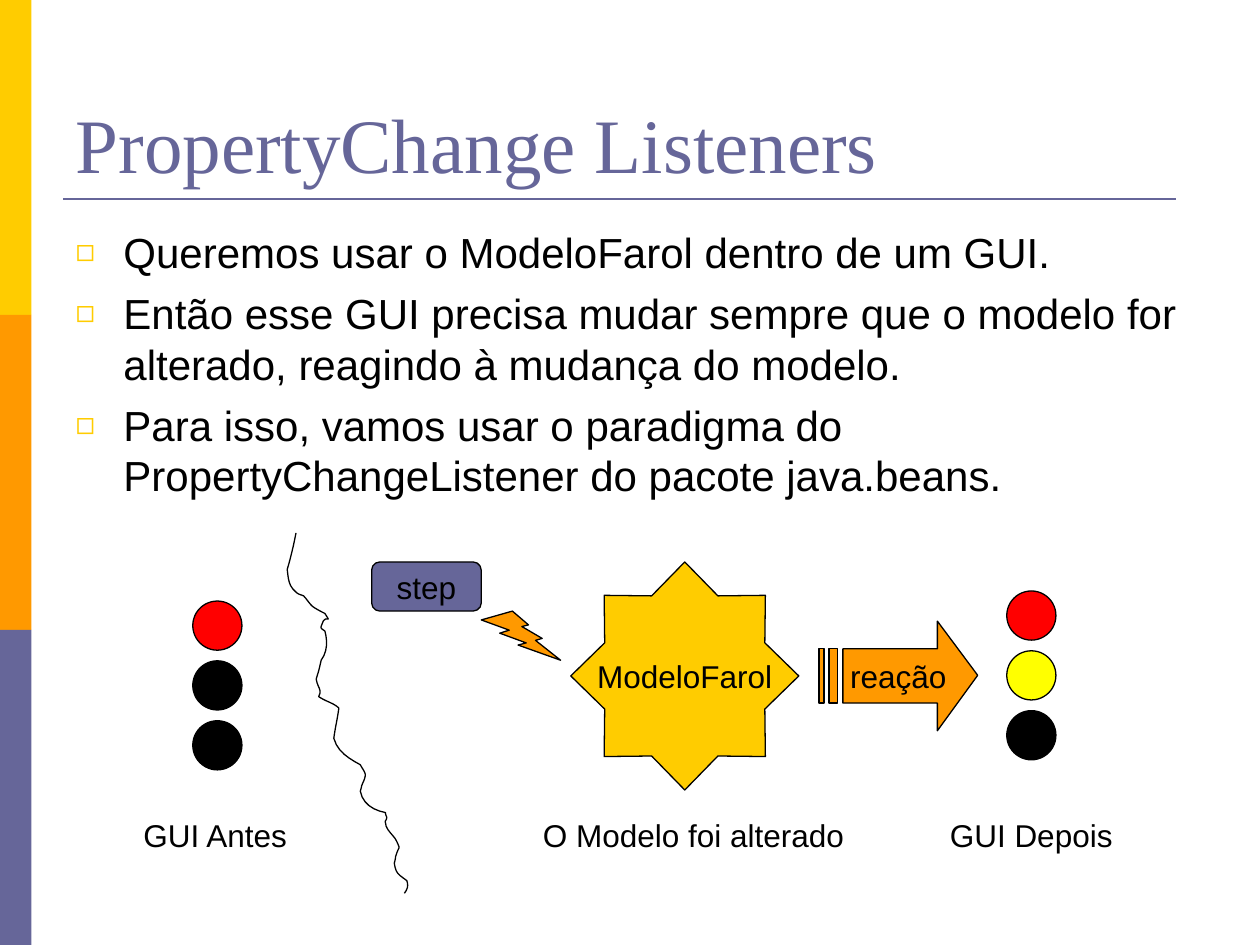
from dataclasses import dataclass

from lxml.etree import SubElement
from pptx import Presentation
from pptx.dml.color import RGBColor
from pptx.enum.shapes import MSO_CONNECTOR, MSO_SHAPE
from pptx.enum.text import MSO_ANCHOR, MSO_AUTO_SIZE, PP_ALIGN
from pptx.oxml.ns import qn
from pptx.util import Inches, Pt

BLACK, RED, YELLOW = "000000", "FF0000", "FFFF00"
GOLD, ORANGE, PURPLE = "FFCC00", "FF9900", "666699"
LAMP, STEP = 0.39, 0.475

BULLETS = [
    "Queremos usar o ModeloFarol dentro de um GUI.",
    "Então esse GUI precisa mudar sempre que o modelo for alterado, "
    "reagindo à mudança do modelo.",
    "Para isso, vamos usar o paradigma do PropertyChangeListener "
    "do pacote java.beans.",
]
ARROW = [
    [(6.69, 5.15), (7.44, 5.15), (7.44, 4.93), (7.76, 5.36),
     (7.44, 5.8), (7.44, 5.58), (6.69, 5.58)],
    *([(a, 5.15), (b, 5.15), (b, 5.58), (a, 5.58)]
      for a, b in [(6.5, 6.54), (6.58, 6.65)]),
]
# Start of the crack, then two control points and an end for each curve
CRACK = [
    (2.35, 4.23),
    (2.33, 4.33), (2.31, 4.42), (2.28, 4.52),
    (2.29, 4.6), (2.29, 4.65), (2.35, 4.7),
    (2.37, 4.72), (2.39, 4.72), (2.41, 4.73),
    (2.44, 4.76), (2.46, 4.8), (2.49, 4.82),
    (2.52, 4.84), (2.58, 4.87), (2.58, 4.87),
    (2.64, 4.97), (2.58, 4.85), (2.55, 4.97),
    (2.54, 4.99), (2.57, 5), (2.58, 5.01),
    (2.6, 5.09), (2.6, 5.17), (2.55, 5.24),
    (2.52, 5.37), (2.53, 5.32), (2.51, 5.39),
    (2.52, 5.46), (2.56, 5.47), (2.53, 5.53),
    (2.59, 5.57), (2.65, 5.58), (2.69, 5.62),
    (2.68, 5.7), (2.66, 5.78), (2.65, 5.86),
    (2.68, 5.97), (2.77, 6.02), (2.86, 6.07),
    (2.87, 6.09), (2.9, 6.13), (2.9, 6.15),
    (2.9, 6.18), (2.88, 6.21), (2.87, 6.24),
    (2.87, 6.25), (2.86, 6.28), (2.86, 6.28),
    (2.88, 6.38), (2.96, 6.43), (3.06, 6.45),
    (3.06, 6.47), (3.07, 6.48), (3.07, 6.49),
    (3.07, 6.51), (3.05, 6.52), (3.06, 6.53),
    (3.06, 6.59), (3.13, 6.63), (3.15, 6.68),
    (3.18, 6.75), (3.17, 6.7), (3.14, 6.8),
    (3.14, 6.82), (3.13, 6.85), (3.13, 6.85),
    (3.14, 6.93), (3.16, 6.94), (3.23, 6.99),
    (3.24, 7.03), (3.24, 7.05), (3.21, 7.09),
]


@dataclass
class Label:
    text: str
    left: float
    width: float


@dataclass
class Light:
    left: float
    top: float
    lamps: tuple[str, ...]


LABELS = [Label("O Modelo foi alterado", 4.21, 2.59),
          Label("GUI Depois", 7.44, 1.49), Label("GUI Antes", 1.04, 1.35)]
LIGHTS = [Light(7.99, 4.69, (RED, YELLOW, BLACK)),
          Light(1.53, 4.77, (RED, BLACK, BLACK))]


def color(code: str) -> RGBColor:
    return RGBColor.from_string(code)


def set_all(item, **values) -> None:
    for name, value in values.items():
        setattr(item, name, value)


def set_font(para, size: float, face: str = "Arial", code: str = BLACK) -> None:
    set_all(para.font, size=Pt(size), name=face)
    para.font.color.rgb = color(code)


def place(item, left: float, top: float, width: float, height: float) -> None:
    set_all(item, left=Inches(left), top=Inches(top),
            width=Inches(width), height=Inches(height))


def paint(shape, fill: str | None, edge: str | None = BLACK) -> None:
    shape.shadow.inherit = False
    if fill:
        shape.fill.solid()
        shape.fill.fore_color.rgb = color(fill)
    else:
        shape.fill.background()
    if edge:
        shape.line.color.rgb = color(edge)
        shape.line.width = Pt(0.75)
    else:
        shape.line.fill.background()


def write(shape, text: str) -> None:
    """Put centred text in a shape."""
    set_all(shape.text_frame, text=text, word_wrap=False,
            vertical_anchor=MSO_ANCHOR.MIDDLE)
    para = shape.text_frame.paragraphs[0]
    para.alignment = PP_ALIGN.CENTER
    set_font(para, 18)


def add_shape(slide, kind, box: tuple, fill: str, edge: str | None = BLACK):
    shape = slide.shapes.add_shape(kind, *map(Inches, box))
    paint(shape, fill, edge)
    return shape


def add_free(slide, loops: list, fill: str | None, close: bool):
    loops = [[(Inches(x), Inches(y)) for x, y in loop] for loop in loops]
    pen = slide.shapes.build_freeform(*loops[0][0], scale=1.0)
    for i, loop in enumerate(loops):
        if i:
            pen.move_to(*loop[0])
        pen.add_line_segments(loop[1:], close=close)
    shape = pen.convert_to_shape()
    paint(shape, fill)
    return shape


def flatten(points: list, cuts: int = 6) -> list:
    """Turn a chain of cubic curves into short straight steps."""
    steps = [points[0]]
    for i in range(0, len(points) - 1, 3):
        for t in (n / cuts for n in range(1, cuts + 1)):
            parts = ((1 - t) ** 3, 3 * t * (1 - t) ** 2,
                     3 * t * t * (1 - t), t ** 3)
            steps.append(tuple(
                sum(w * p[axis] for w, p in zip(parts, points[i:i + 4]))
                for axis in (0, 1)))
    return steps


def add_bullet(para) -> None:
    props = para._p.get_or_add_pPr()
    props.set("marL", str(Inches(0.38)))
    props.set("indent", str(-Inches(0.38)))
    SubElement(SubElement(props, qn("a:buClr")), qn("a:srgbClr"), val=GOLD)
    SubElement(props, qn("a:buSzPct"), val="75000")
    SubElement(props, qn("a:buChar"), char="◻")


def add_frame(slide) -> None:
    """Draw the side bands and the rule under the title."""
    for i, fill in enumerate((GOLD, ORANGE, PURPLE)):
        add_shape(slide, MSO_SHAPE.RECTANGLE, (0, 2.5 * i, 0.25, 2.5), fill, None)
    rule = slide.shapes.add_connector(
        MSO_CONNECTOR.STRAIGHT, *map(Inches, (0.5, 1.58, 9.33, 1.58)))
    rule.line.color.rgb = color(PURPLE)
    rule.line.width = Pt(1.5)
    SubElement(rule._element.spPr, qn("a:effectLst"))


def add_text(slide) -> None:
    title, body = slide.shapes.title, slide.placeholders[1]
    place(title, 0.5, 0.3, 9, 1.25)
    set_all(title.text_frame, text="PropertyChange Listeners",
            vertical_anchor=MSO_ANCHOR.BOTTOM, auto_size=MSO_AUTO_SIZE.NONE)
    head = title.text_frame.paragraphs[0]
    head.alignment = PP_ALIGN.LEFT
    set_font(head, 44, "Times New Roman", PURPLE)

    place(body, 0.5, 1.75, 9, 4.95)
    set_all(body.text_frame, text="\n".join(BULLETS),
            auto_size=MSO_AUTO_SIZE.NONE)
    for para in body.text_frame.paragraphs:
        para.space_before = Pt(6)
        set_font(para, 24)
        add_bullet(para)


def add_scene(slide) -> None:
    star = add_shape(slide, MSO_SHAPE.STAR_8_POINT, (4.53, 4.46, 1.81, 1.81), GOLD)
    star.adjustments[0] = 0.38
    write(star, "ModeloFarol")
    write(add_shape(slide, MSO_SHAPE.ROUNDED_RECTANGLE,
                    (2.95, 4.46, 0.87, 0.39), PURPLE), "step")
    add_shape(slide, MSO_SHAPE.LIGHTNING_BOLT, (3.82, 4.85, 0.63, 0.39), ORANGE)
    write(add_free(slide, ARROW, ORANGE, True), "reação")
    for light in LIGHTS:
        for i, fill in enumerate(light.lamps):
            add_shape(slide, MSO_SHAPE.OVAL,
                      (light.left, light.top + i * STEP, LAMP, LAMP), fill)
    for label in LABELS:
        box = slide.shapes.add_textbox(
            *map(Inches, (label.left, 6.43, label.width, 0.4)))
        set_all(box.text_frame, text=label.text, word_wrap=False)
        set_font(box.text_frame.paragraphs[0], 18)
    add_free(slide, [flatten(CRACK)], None, False)


def main() -> None:
    deck = Presentation()
    set_all(deck, slide_width=Inches(10), slide_height=Inches(7.5))
    slide = deck.slides.add_slide(deck.slide_layouts[1])
    for draw in (add_frame, add_text, add_scene):
        draw(slide)
    deck.save("out.pptx")


if __name__ == "__main__":
    main()
